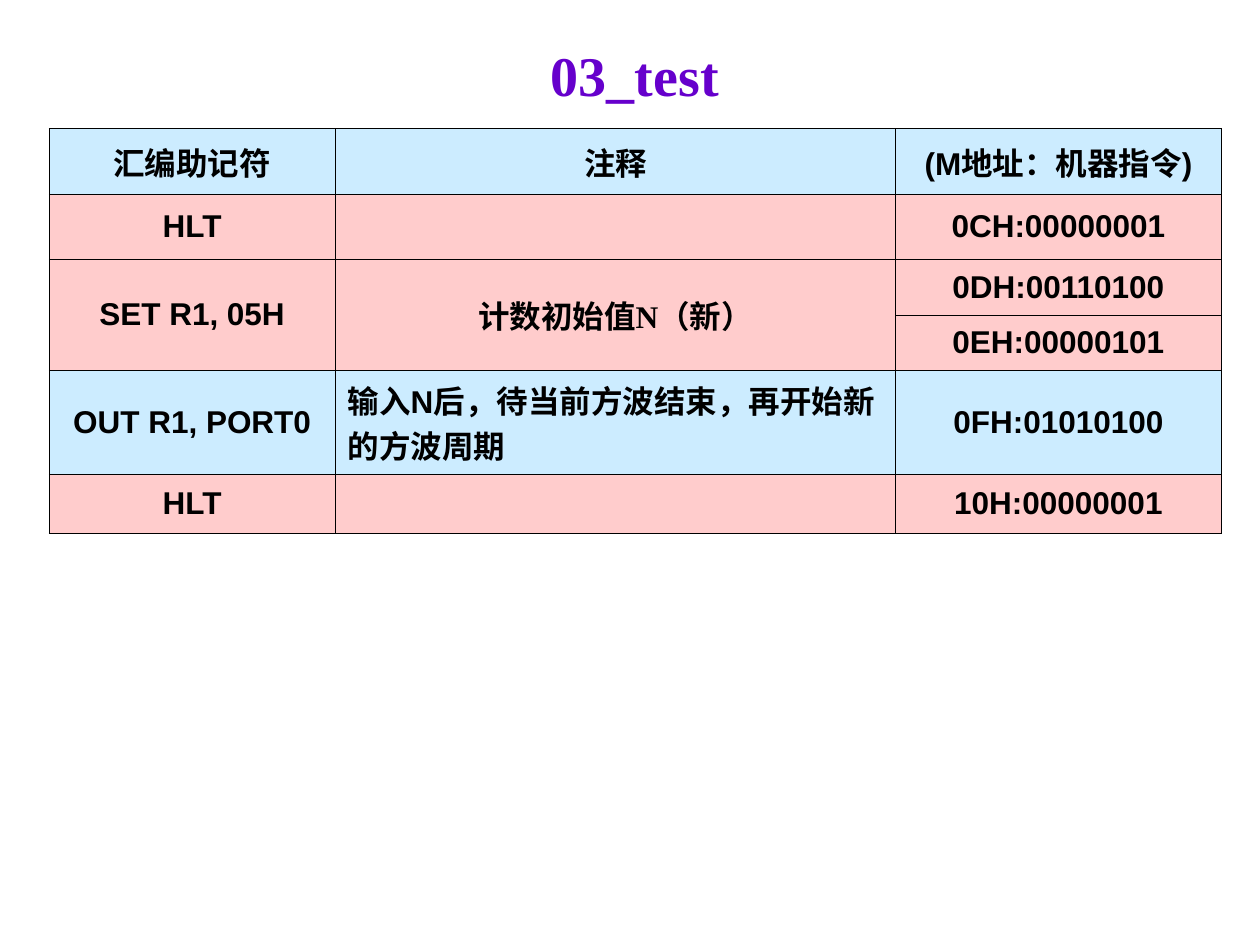
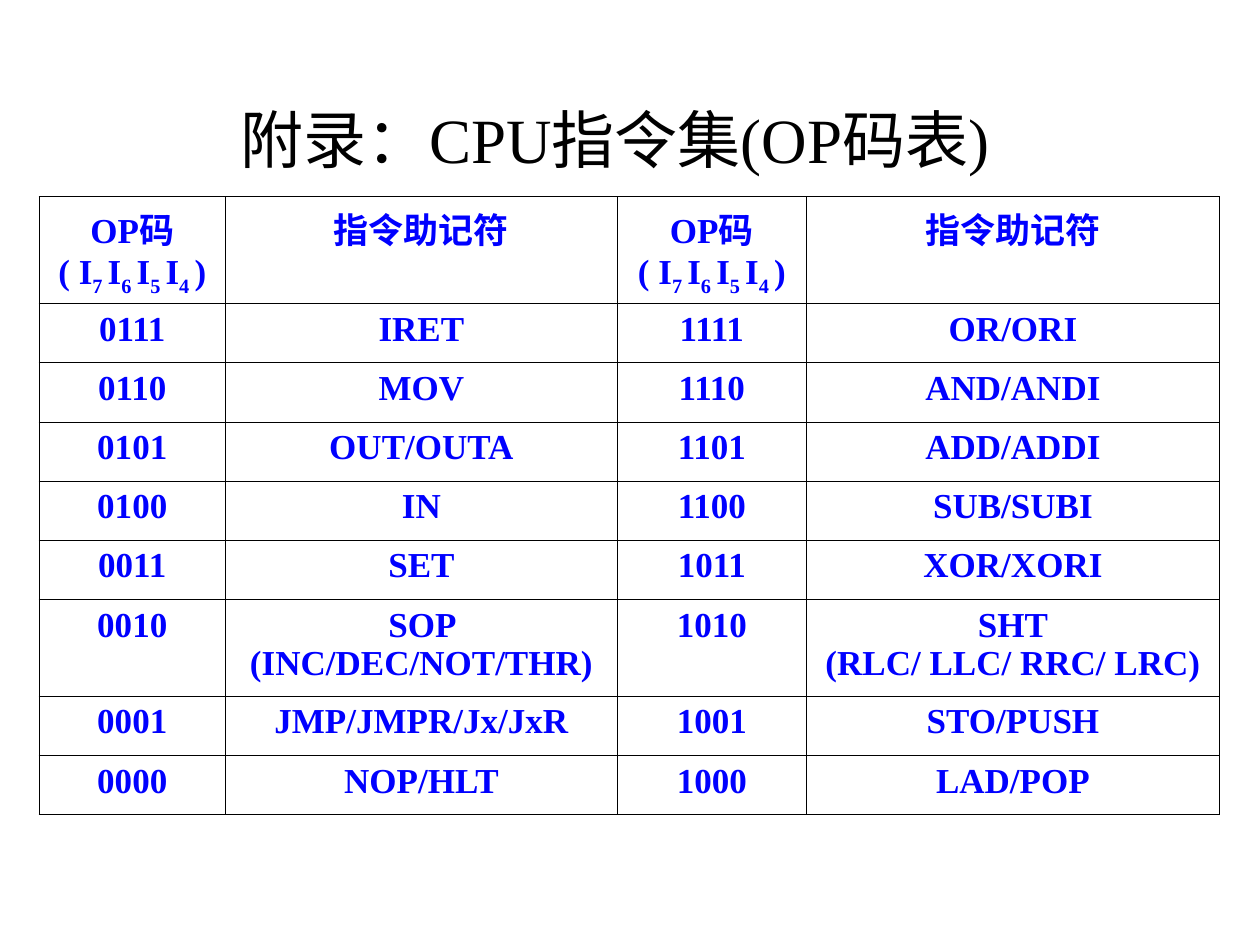
from dataclasses import dataclass

from lxml import etree
from pptx import Presentation
from pptx.dml.color import RGBColor
from pptx.enum.text import MSO_ANCHOR, PP_ALIGN
from pptx.oxml.ns import qn
from pptx.util import Inches, Pt

CENTER, LEFT = PP_ALIGN.CENTER, PP_ALIGN.LEFT
TOP, MIDDLE = MSO_ANCHOR.TOP, MSO_ANCHOR.MIDDLE


@dataclass(frozen=True)
class Theme:
    serif: str = "Times New Roman"
    sans: str = "Arial"
    black: str = "000000"
    purple: str = "6600CC"
    blue: str = "0000FF"
    sky: str = "CCECFF"
    pink: str = "FFCCCC"
    border: float = 0.45
    test_title: int = 32
    appendix_title: int = 36
    test_body: int = 18
    opcode_body: int = 20


THEME = Theme()

TEST_TITLE = "03_test"
TEST_COLS = [2.27, 4.45, 2.58]
# row height, fill, cell texts
TEST_ROWS = [
    (0.52, THEME.sky, ("汇编助记符", "注释", "(M地址：机器指令)")),
    (0.52, THEME.pink, ("HLT", "", "0CH:00000001")),
    (0.44, THEME.pink, ("SET R1, 05H", "计数初始值N（新）", "0DH:00110100")),
    (0.44, THEME.pink, ("", "", "0EH:00000101")),
    (0.82, THEME.sky, ("OUT R1, PORT0",
                       "输入N后，待当前方波结束，再开始新的方波周期",
                       "0FH:01010100")),
    (0.47, THEME.pink, ("HLT", "", "10H:00000001")),
]
SET_ROW, OUT_ROW, NOTE_COL = 2, 4, 1

APPENDIX_TITLE = "附录：CPU指令集(OP码表)"
OPCODE_COLS = [1.48, 3.11, 1.5, 3.28]
OPCODE_HEAD_HEIGHT, OPCODE_ROW_HEIGHT, OPCODE_TALL_HEIGHT = 0.85, 0.47, 0.72
# every second run is a subscript
BITS = ("( I", "7 ", "I", "6 ", "I", "5 ", "I", "4 ", ")")
# mnemonics for codes 0111 down to 0000, and 1111 down to 1000
LOW_OPS = ["IRET", "MOV", "OUT/OUTA", "IN", "SET", "SOP (INC/DEC/NOT/THR)",
           "JMP/JMPR/Jx/JxR", "NOP/HLT"]
HIGH_OPS = ["OR/ORI", "AND/ANDI", "ADD/ADDI", "SUB/SUBI", "XOR/XORI",
            "SHT\n(RLC/ LLC/ RRC/ LRC)", "STO/PUSH", "LAD/POP"]
TALL_OP = 5


def style(tf, font, size, color, bold=True, align=CENTER):
    for p in tf.paragraphs:
        p.alignment = align
        for r in p.runs:
            r.font.name, r.font.size, r.font.bold = font, Pt(size), bold
            r.font.color.rgb = RGBColor.from_string(color)


def add_title(s, text, box, size, color, bold):
    tf = s.shapes.add_textbox(*map(Inches, box)).text_frame
    tf.word_wrap = True
    tf.vertical_anchor = MIDDLE
    tf.text = text
    style(tf, THEME.serif, size, color, bold)


def add_borders(cell):
    tcPr = cell._tc.get_or_add_tcPr()
    for i, side in enumerate(("lnL", "lnR", "lnT", "lnB")):
        ln = etree.Element(qn(f"a:{side}"), w=str(Pt(THEME.border)))
        fill = etree.SubElement(ln, qn("a:solidFill"))
        etree.SubElement(fill, qn("a:srgbClr"), val=THEME.black)
        tcPr.insert(i, ln)


def add_grid(s, left, top, cols, heights):
    """Add an empty bordered table without banding."""
    frame = s.shapes.add_table(len(heights), len(cols), Inches(left), Inches(top),
                               Inches(sum(cols)), Inches(sum(heights)))
    table = frame.table
    table.first_row = table.horz_banding = False
    for col, width in zip(table.columns, cols):
        col.width = Inches(width)
    for row, height in zip(table.rows, heights):
        row.height = Inches(height)
    for cell in table.iter_cells():
        cell.fill.background()
        add_borders(cell)
    return table


def add_bits(tf):
    p = tf.add_paragraph()
    for i, text in enumerate(BITS):
        r = p.add_run()
        r.text = text
        if i % 2:
            r._r.get_or_add_rPr().set("baseline", "-25000")


def build_test(s):
    table = add_grid(s, 0.39, 1.02, TEST_COLS, [h for h, _, _ in TEST_ROWS])
    for i, (_, fill, texts) in enumerate(TEST_ROWS):
        for j, text in enumerate(texts):
            cell = table.cell(i, j)
            cell.fill.solid()
            cell.fill.fore_color.rgb = RGBColor.from_string(fill)
            cell.vertical_anchor = MIDDLE
            cell.text_frame.text = text
            font = THEME.serif if (i, j) == (SET_ROW, NOTE_COL) else THEME.sans
            align = LEFT if (i, j) == (OUT_ROW, NOTE_COL) else CENTER
            style(cell.text_frame, font, THEME.test_body, THEME.black, align=align)
    for j in (0, NOTE_COL):
        table.cell(SET_ROW, j).merge(table.cell(SET_ROW + 1, j))
    add_title(s, TEST_TITLE, (0.39, 0.31, 9.3, 0.55),
              THEME.test_title, THEME.purple, True)


def build_appendix(s):
    add_title(s, APPENDIX_TITLE, (0.63, 0.7, 8.5, 0.8),
              THEME.appendix_title, THEME.black, False)
    rows = [("OP码", "指令助记符") * 2]
    heights = [OPCODE_HEAD_HEIGHT]
    for i, (low, high) in enumerate(zip(LOW_OPS, HIGH_OPS)):
        rows.append((f"{7 - i:04b}", low, f"{15 - i:04b}", high))
        heights.append(OPCODE_TALL_HEIGHT if i == TALL_OP else OPCODE_ROW_HEIGHT)
    table = add_grid(s, 0.31, 1.56, OPCODE_COLS, heights)
    for i, texts in enumerate(rows):
        for j, text in enumerate(texts):
            cell = table.cell(i, j)
            cell.margin_left = cell.margin_right = Inches(0.08)
            cell.vertical_anchor = TOP
            tf = cell.text_frame
            tf.text = text
            if i == 0 and j % 2 == 0:
                add_bits(tf)
            style(tf, THEME.serif, THEME.opcode_body, THEME.blue)


def main():
    prs = Presentation()
    prs.slide_width, prs.slide_height = Inches(10), Inches(7.5)
    blank = prs.slide_layouts[6]
    for build in (build_test, build_appendix):
        build(prs.slides.add_slide(blank))
    prs.save("out.pptx")


if __name__ == "__main__":
    main()
